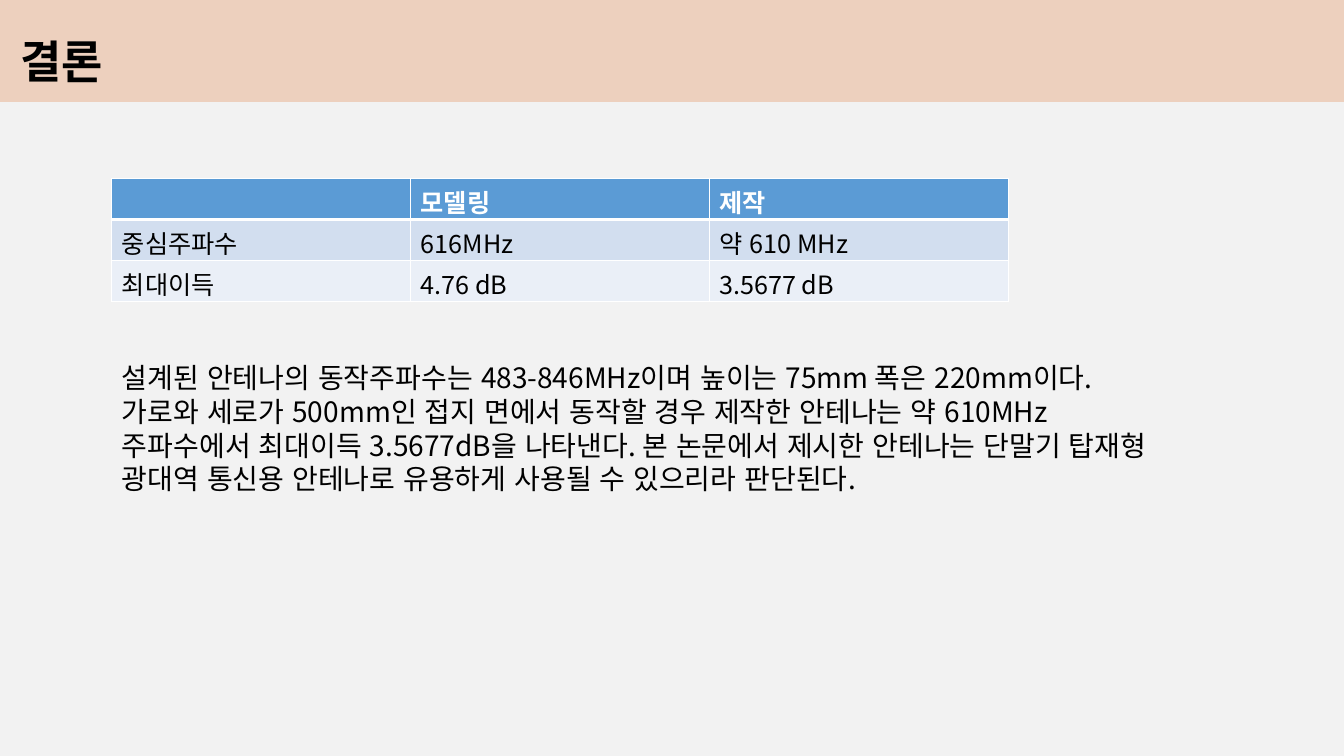
from dataclasses import dataclass
import pptx
import pptx.dml.color
import pptx.enum.lang
import pptx.enum.text
import pptx.oxml
import pptx.oxml.ns
import pptx.util
from pptx.util import Inches

FONT = "Noto Sans CJK KR"
HUES = {
    "page": "F2F2F2",
    "band": "EDD0BE",
    "head": "5B9BD5",
    "odd": "D2DEEF",
    "even": "EAEFF7",
    "ink": "000000",
    "white": "FFFFFF",
}
BODY = (
    "설계된 안테나의 동작주파수는 483-846MHz이며 높이는 75mm 폭은 220mm이다. "
    "가로와 세로가 500mm인 접지 면에서 동작할 경우 제작한 안테나는 약 610MHz "
    "주파수에서 최대이득 3.5677dB을 나타낸다. 본 논문에서 제시한 안테나는 단말기 "
    "탑재형 광대역 통신용 안테나로 유용하게 사용될 수 있으리라 판단된다."
)


@dataclass
class Style:
    size: int
    hue: str = "ink"
    bold: bool = False
    space: float = 1.0


@dataclass
class Row:
    cells: tuple[str, ...]
    fill: str
    style: Style
    base: int = 1


ROWS = [
    Row(("", "모델링", "제작"), "head", Style(18, "white", True), 3),
    Row(("중심주파수", "616MHz", "약 610 MHz"), "odd", Style(18)),
    Row(("최대이득", "4.76 dB", "3.5677 dB"), "even", Style(18)),
]


def paint(fill, hue: str) -> None:
    fill.solid()
    fill.fore_color.rgb = pptx.dml.color.RGBColor.from_string(HUES[hue])


def write(frame, text: str, style: Style) -> None:
    para = frame.paragraphs[0]
    para.alignment = pptx.enum.text.PP_ALIGN.LEFT
    para.line_spacing = style.space
    para.font.size = pptx.util.Pt(style.size)
    if not text:
        return
    run = para.add_run()
    run.text = text
    font = run.font
    font.size = pptx.util.Pt(style.size)
    font.bold = style.bold
    font.name = FONT
    font.language_id = pptx.enum.lang.MSO_LANGUAGE_ID.KOREAN
    paint(font.fill, style.hue)
    east = pptx.oxml.parse_xml(
        f'<a:ea {pptx.oxml.ns.nsdecls("a")} typeface="{FONT}"/>'
    )
    font._element.find(pptx.oxml.ns.qn("a:latin")).addnext(east)


def edge(cell, top: int, base: int) -> None:
    props = cell._tc.get_or_add_tcPr()
    widths = {"lnL": 1, "lnR": 1, "lnT": top, "lnB": base}
    for spot, (tag, width) in enumerate(widths.items()):
        line = pptx.oxml.parse_xml(
            f'<a:{tag} {pptx.oxml.ns.nsdecls("a")} w="{pptx.util.Pt(width)}">'
            f'<a:solidFill><a:srgbClr val="{HUES["white"]}"/></a:solidFill></a:{tag}>'
        )
        props.insert(spot, line)


def add_title(slide) -> None:
    title = slide.shapes.title
    title.left, title.top = Inches(0), Inches(0)
    title.width, title.height = Inches(13.33), Inches(1.01)
    paint(title.fill, "band")
    frame = title.text_frame
    frame.auto_size = pptx.enum.text.MSO_AUTO_SIZE.NONE
    frame.vertical_anchor = pptx.enum.text.MSO_ANCHOR.MIDDLE
    frame.margin_left = Inches(0.2)
    write(frame, "결론", Style(32, bold=True, space=1.35))


def add_grid(slide) -> None:
    grid = slide.shapes.add_table(
        len(ROWS), 3, Inches(1.11), Inches(1.77), Inches(8.89), Inches(1.22)
    ).table
    top = 1
    for line, row in zip(grid.rows, ROWS):
        for cell, text in zip(line.cells, row.cells):
            cell.margin_bottom = Inches(0)
            paint(cell.fill, row.fill)
            edge(cell, top, row.base)
            write(cell.text_frame, text, row.style)
        top = row.base


def add_body(slide) -> None:
    box = slide.shapes.add_textbox(
        Inches(1.11), Inches(3.53), Inches(10.51), Inches(1.72)
    )
    frame = box.text_frame
    frame.word_wrap = True
    frame.auto_size = pptx.enum.text.MSO_AUTO_SIZE.SHAPE_TO_FIT_TEXT
    write(frame, BODY, Style(20))


def main() -> None:
    deck = pptx.Presentation()
    deck.slide_width, deck.slide_height = Inches(13.33), Inches(7.5)
    slide = deck.slides.add_slide(deck.slide_layouts[5])
    paint(slide.background.fill, "page")
    add_title(slide)
    add_body(slide)
    add_grid(slide)
    deck.save("out.pptx")


if __name__ == "__main__":
    main()
